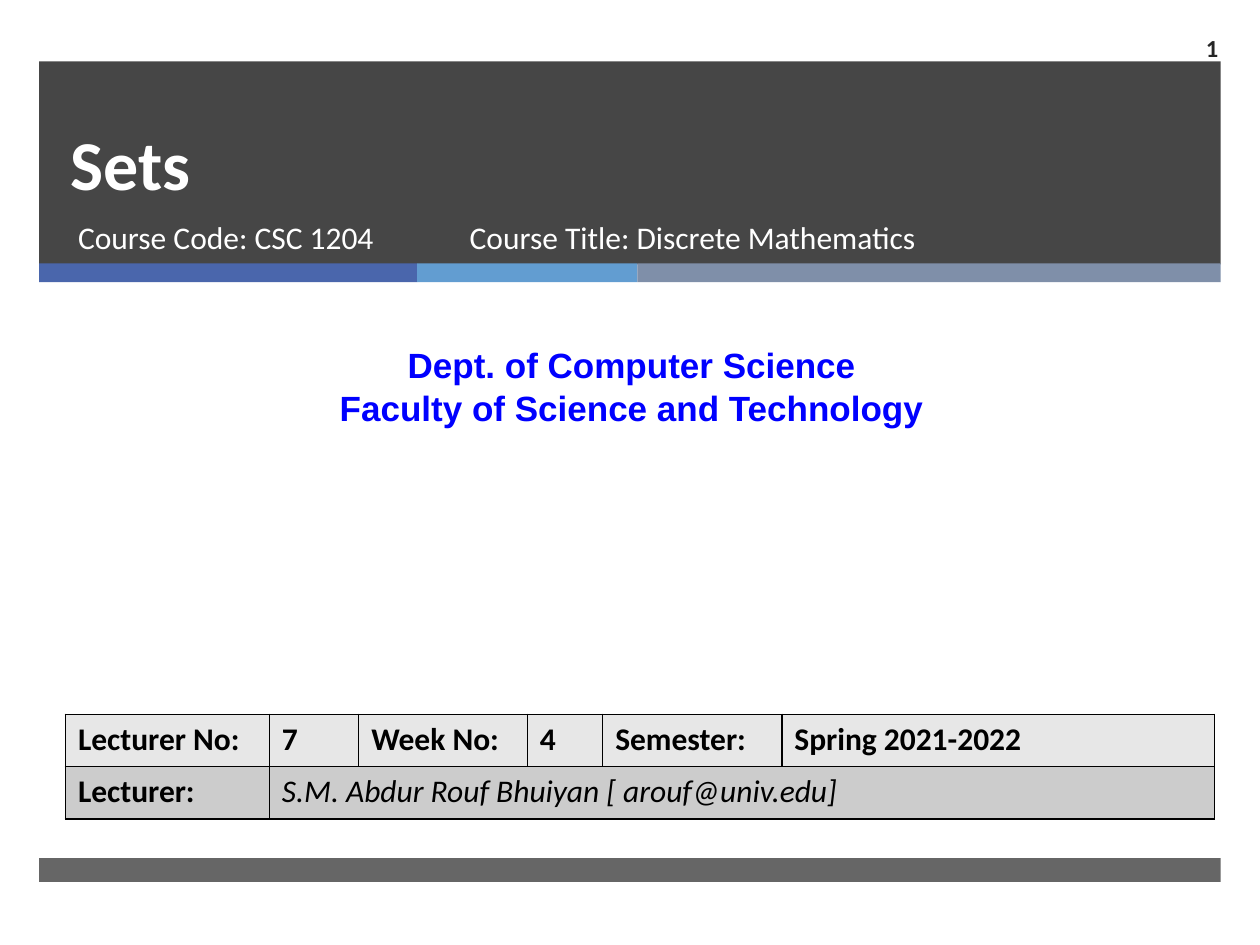
import pptx
import pptx.util
import pptx.dml.color
import pptx.enum.shapes
import pptx.enum.text
import pptx.oxml.ns
import lxml.etree

Cm, Pt = pptx.util.Cm, pptx.util.Pt
ALIGN = pptx.enum.text.PP_ALIGN
ANCHOR = pptx.enum.text.MSO_ANCHOR
qn = pptx.oxml.ns.qn


def paint(item, tone):
    if hasattr(item, "solid"):
        item.solid()
        item = item.fore_color
    item.rgb = pptx.dml.color.RGBColor.from_string(tone)


def write(para, text, size, tone, font="Calibri", bold=False, slant=False):
    run = para.add_run()
    run.text = text
    run.font.name, run.font.size = font, Pt(size)
    run.font.bold, run.font.italic = bold, slant
    paint(run.font.color, tone)


def place(shape, box):
    shape.left, shape.top, shape.width, shape.height = map(Cm, box)


def bar(slide, box, tone, alpha=None):
    rect = slide.shapes.add_shape(
        pptx.enum.shapes.MSO_SHAPE.RECTANGLE, *map(Cm, box))
    rect.shadow.inherit = False
    paint(rect.fill, tone)
    rect.line.fill.background()
    if alpha:
        node = rect.fill._xPr.find(".//" + qn("a:srgbClr"))
        lxml.etree.SubElement(node, qn("a:alpha"), val=str(alpha * 1000))


def label(slide, box, lines, size, tone, align=ALIGN.LEFT,
          anchor=ANCHOR.TOP, **style):
    frame = slide.shapes.add_textbox(*map(Cm, box)).text_frame
    frame.word_wrap = True
    frame.vertical_anchor = anchor
    for row, line in enumerate(lines):
        para = frame.add_paragraph() if row else frame.paragraphs[0]
        para.alignment = align
        write(para, line, size, tone, **style)


def header(slide, box):
    left, top, wide, high = box
    bar(slide, box, "262626", 85)
    edge = left
    for part, tone in ((7.62, "4A66AC"), (4.44, "629DD1"), (11.76, "7F8FA9")):
        bar(slide, (edge, top + high - 0.02, part, 0.38), tone)
        edge += part

    title, sub = slide.placeholders
    base = top + 3.03
    place(title, (left + 0.38, top, 21.69, 3.02))
    place(sub, (left + 0.53, base, 7.75, 1.35))
    for shape, text, size, bold, anchor in (
            (title, "Sets", 40, True, ANCHOR.BOTTOM),
            (sub, "Course Code: CSC 1204", 18, False, ANCHOR.TOP)):
        slide.shapes._spTree.append(shape._element)
        frame = shape.text_frame
        frame.vertical_anchor = anchor
        para = frame.paragraphs[0]
        para.alignment = ALIGN.LEFT
        para.space_before = Pt(0)
        write(para, text, size, "FFFFFF", bold=bold)
    title.text_frame.paragraphs[0].line_spacing = Pt(46)
    label(slide, (left + 8.43, base, 11.56, 1.35),
          ["Course Title: Discrete Mathematics"], 18, "FFFFFF")


def border(cell):
    props = cell._tc.get_or_add_tcPr()
    for spot, side in enumerate(("lnL", "lnR", "lnT", "lnB")):
        line = lxml.etree.Element(qn("a:" + side), w=str(Pt(1)))
        fill = lxml.etree.SubElement(line, qn("a:solidFill"))
        lxml.etree.SubElement(fill, qn("a:srgbClr"), val="000000")
        props.insert(spot, line)


def details(slide, box):
    rows = (("Lecturer No:", "7", "Week No:", "4", "Semester:",
             "Spring 2021-2022"),
            ("Lecturer:", "S.M. Abdur Rouf Bhuiyan [ arouf@univ.edu]"))
    table = slide.shapes.add_table(2, 6, *map(Cm, box)).table
    for col, wide in zip(table.columns, (4.11, 1.8, 3.4, 1.52, 3.61, 8.72)):
        col.width = Cm(wide)
    table.cell(1, 1).merge(table.cell(1, 5))
    for row, tone in enumerate(("E7E7E7", "CCCCCC")):
        for cell in table.rows[row].cells:
            paint(cell.fill, tone)
            border(cell)
        for col, text in enumerate(rows[row]):
            slant = (row, col) == (1, 1)
            para = table.cell(row, col).text_frame.paragraphs[0]
            write(para, text, 18, "000000", bold=not slant, slant=slant)


def main():
    deck = pptx.Presentation()
    deck.slide_width, deck.slide_height = Cm(25.4), Cm(19.05)
    slide = deck.slides.add_slide(deck.slide_layouts[0])
    header(slide, (0.79, 1.24, 23.82, 4.09))
    bar(slide, (0.79, 17.3, 23.82, 0.48), "262626", 70)
    label(slide, (0.2, 6.81, 25.07, 1.96),
          ["Dept. of Computer Science", "Faculty of Science and Technology"],
          20, "0000FF", ALIGN.CENTER, font="Arial", bold=True)
    details(slide, (1.32, 14.4, 23.16, 2.11))
    label(slide, (23.06, 0.46, 1.75, 0.99), ["1"], 14, "262626",
          ALIGN.RIGHT, ANCHOR.MIDDLE, bold=True)
    deck.save("out.pptx")


if __name__ == "__main__":
    main()
